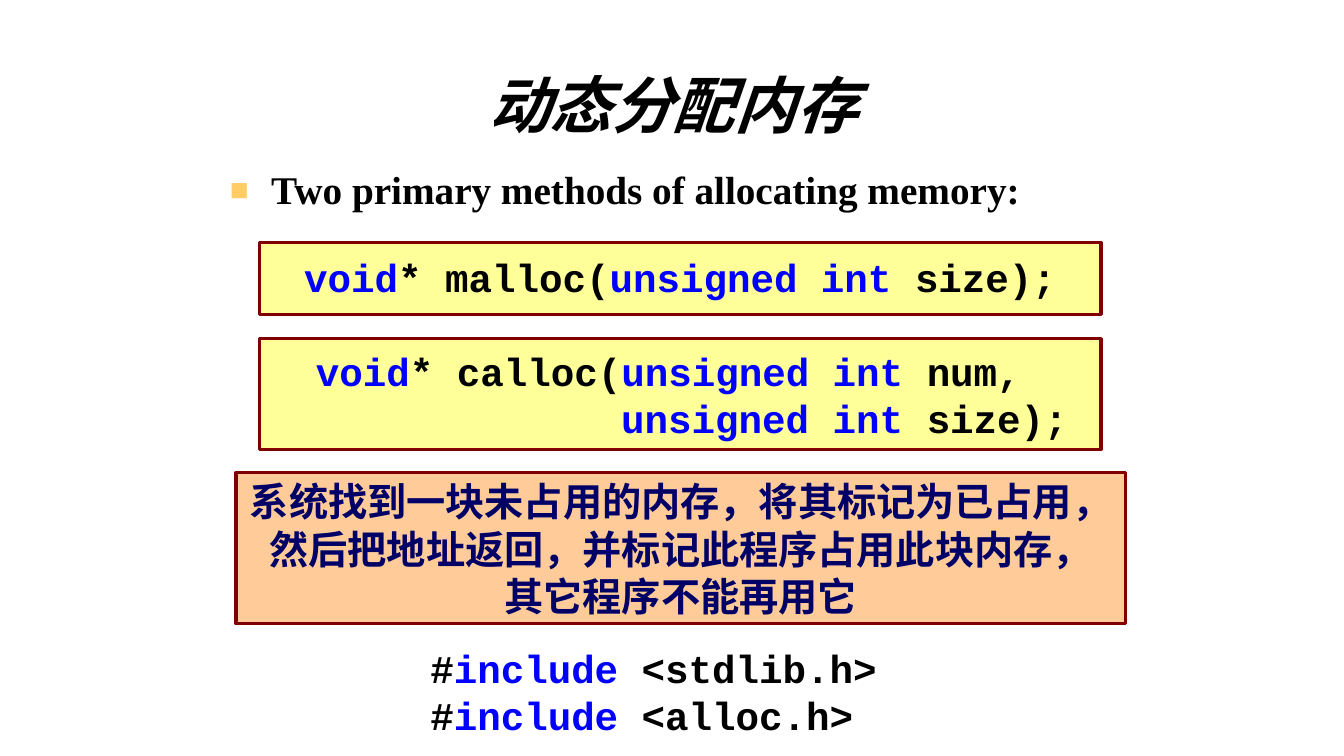
from lxml import etree
from pptx import Presentation
from pptx.dml.color import RGBColor
from pptx.enum.shapes import MSO_SHAPE
from pptx.enum.text import MSO_ANCHOR, MSO_AUTO_SIZE, PP_ALIGN
from pptx.oxml.ns import qn
from pptx.util import Inches, Pt

SERIF, MONO = "Times New Roman", "Courier New"
BLACK, BLUE, NAVY, MAROON = "000000", "0000FF", "000066", "800000"
YELLOW, ORANGE, GOLD = "FFFF99", "FFCC99", "FFCC66"

TITLE = "动态分配内存"
INTRO = "Two primary methods of allocating memory:"
# Each line is a list of (text, colour) spans.
MALLOC = [[("void", BLUE), ("* malloc(", BLACK), ("unsigned int", BLUE), (" size);", BLACK)]]
CALLOC = [
    [("void", BLUE), ("* calloc(", BLACK), ("unsigned int", BLUE), (" num, ", BLACK)],
    [("              unsigned int", BLUE), (" size);", BLACK)],
]
EXPLANATION = [
    [(line, NAVY)]
    for line in (
        "系统找到一块未占用的内存，将其标记为已占用，",
        "然后把地址返回，并标记此程序占用此块内存，",
        "其它程序不能再用它",
    )
]
HEADERS = [
    [("#", BLACK), ("include", BLUE), (f" <{name}>", BLACK)]
    for name in ("stdlib.h", "alloc.h")
]
# left, top, width, height, fill, lines, font, line spacing
PANELS = [
    (2.57, 2.41, 8.35, 0.71, YELLOW, MALLOC, MONO, 0.95),
    (2.57, 3.36, 8.35, 1.1, YELLOW, CALLOC, MONO, 1),
    (2.34, 4.69, 8.82, 1.5, ORANGE, EXPLANATION, SERIF, 1),
]


def rgb(value):
    return RGBColor.from_string(value)


def write(shape, lines, font=SERIF, size=28, italic=False, align=PP_ALIGN.LEFT,
          anchor=MSO_ANCHOR.TOP, spacing=1, wrap=True):
    frame = shape.text_frame
    frame.word_wrap = wrap
    frame.auto_size = MSO_AUTO_SIZE.NONE
    frame.vertical_anchor = anchor
    for index, line in enumerate(lines):
        para = frame.add_paragraph() if index else frame.paragraphs[0]
        para.alignment = align
        para.line_spacing = spacing
        para.space_before = Pt(0)
        for text, colour in line:
            span = para.add_run()
            span.text = text
            span.font.name = font
            span.font.size = Pt(size)
            span.font.bold = True
            span.font.italic = italic
            span.font.color.rgb = rgb(colour)


def place(shape, *position):
    shape.left, shape.top, shape.width, shape.height = map(Inches, position)


def add_bullet(para, symbol, colour, percent, indent):
    props = para._p.get_or_add_pPr()
    props.set("marL", str(Inches(indent)))
    props.set("indent", str(-Inches(indent)))
    tint = etree.SubElement(props, qn("a:buClr"))
    etree.SubElement(tint, qn("a:srgbClr"), val=colour)
    etree.SubElement(props, qn("a:buSzPct"), val=str(percent * 1000))
    etree.SubElement(props, qn("a:buChar"), char=symbol)


def add_text_shadow(span, colour):
    effects = etree.Element(qn("a:effectLst"))
    shadow = etree.SubElement(effects, qn("a:outerShdw"), dist=str(Pt(3)), dir="2700000")
    etree.SubElement(shadow, qn("a:srgbClr"), val=colour)
    span.font._element.find(qn("a:solidFill")).addnext(effects)


def add_panel(page, left, top, width, height, fill, lines, font, spacing):
    panel = page.shapes.add_shape(
        MSO_SHAPE.RECTANGLE, *map(Inches, (left, top, width, height)))
    panel.shadow.inherit = False
    panel.fill.solid()
    panel.fill.fore_color.rgb = rgb(fill)
    panel.line.color.rgb = rgb(MAROON)
    panel.line.width = Pt(2.25)
    write(panel, lines, font=font, align=PP_ALIGN.CENTER,
          anchor=MSO_ANCHOR.MIDDLE, spacing=spacing, wrap=False)


def main():
    deck = Presentation()
    deck.slide_width, deck.slide_height = Inches(13.33), Inches(7.5)
    page = deck.slides.add_slide(deck.slide_layouts[1])

    title, body = page.placeholders
    place(title, 0.99, 0.63, 11.37, 0.92)
    write(title, [[(TITLE, BLACK)]], size=44, italic=True, align=PP_ALIGN.CENTER,
          anchor=MSO_ANCHOR.MIDDLE, spacing=0.85)
    add_text_shadow(title.text_frame.paragraphs[0].runs[0], BLACK)

    place(body, 2.18, 1.62, 8.98, 0.79)
    write(body, [[(INTRO, BLACK)]], spacing=0.95)
    add_bullet(body.text_frame.paragraphs[0], "■", GOLD, 80, 0.41)

    for panel in PANELS:
        add_panel(page, *panel)

    includes = page.shapes.add_textbox(*map(Inches, (4.17, 6.34, 5, 1.03)))
    write(includes, HEADERS, font=MONO)
    deck.save("out.pptx")


if __name__ == "__main__":
    main()
